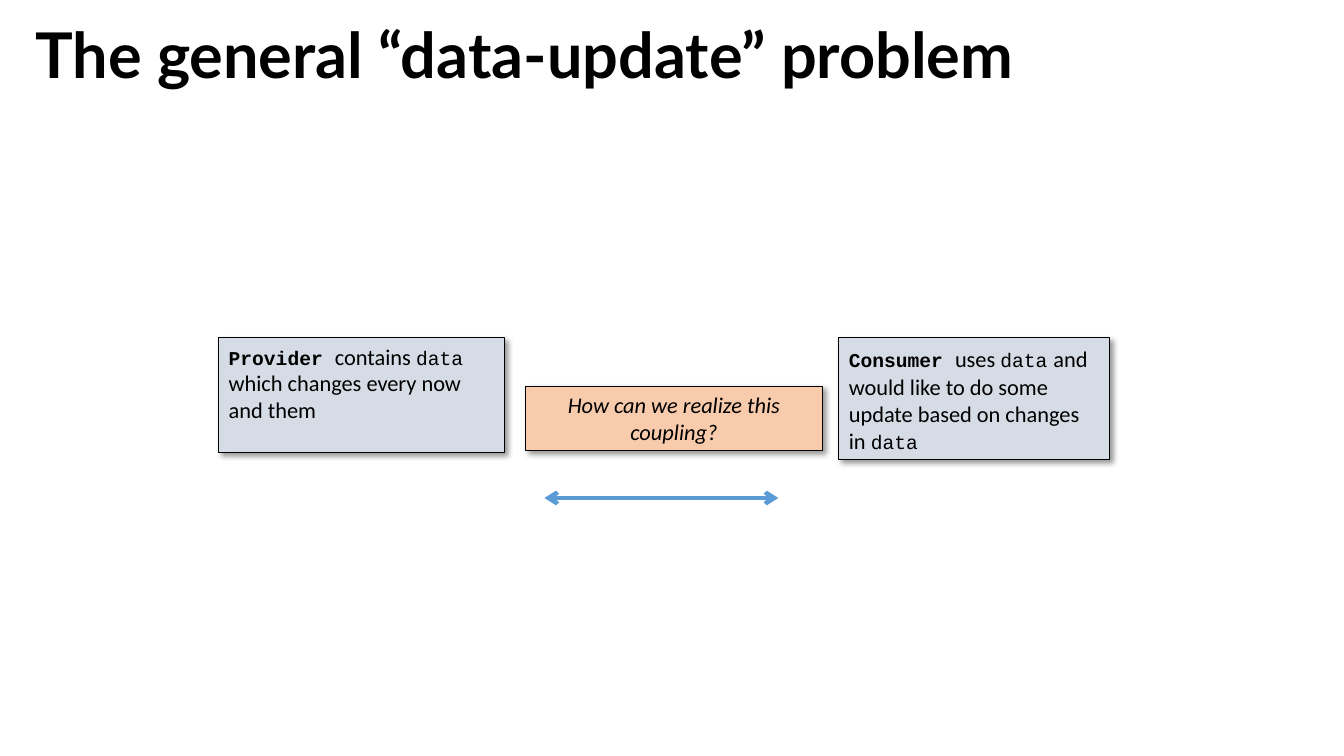
import pptx
import pptx.dml.color
import pptx.enum.shapes
import pptx.enum.text
import pptx.oxml
import pptx.util
from lxml import etree

WIDTH, HEIGHT = pptx.util.Inches(13.33), pptx.util.Inches(7.5)
COLORS = {"ink": "000000", "role": "D6DCE5", "ask": "F8CBAD", "arrow": "5B9BD5"}
NS = "http://schemas.openxmlformats.org/drawingml/2006/main"
ALIGN = pptx.enum.text.PP_ALIGN
ANCHOR = pptx.enum.text.MSO_ANCHOR
CODE, PLAIN = ("Courier New", 14), ("Calibri", 16)


def color(name):
    return pptx.dml.color.RGBColor.from_string(COLORS[name])


def place(x, y):
    """Turn percentages of the slide's width and height into lengths."""
    return round(WIDTH * x / 100), round(HEIGHT * y / 100)


def write(para, runs):
    """Add runs given as (text, (font, size), style), style being b, i or empty."""
    for text, (face, size), style in runs:
        run = para.add_run()
        run.text = text
        font = run.font
        font.name, font.size = face, pptx.util.Pt(size)
        font.bold, font.italic = style == "b", style == "i"
        font.color.rgb = color("ink")


def add_title(slide, text):
    box = slide.shapes.add_textbox(*place(2.63, 2.13), *place(94.82, 10))
    frame = box.text_frame
    frame.word_wrap = True
    frame.vertical_anchor = ANCHOR.BOTTOM
    frame.margin_left = frame.margin_right = 0
    frame.margin_top = frame.margin_bottom = 0
    para = frame.paragraphs[0]
    para.line_spacing = 0.89
    write(para, [(text, ("Lato", 45), "b")])


def cast(shape):
    """Give the shape a soft shadow to the lower right."""
    shape.shadow.inherit = False
    effects = shape._element.spPr.find(f"{{{NS}}}effectLst")
    effects.append(pptx.oxml.parse_xml(
        f'<a:outerShdw xmlns:a="{NS}" blurRad="{pptx.util.Pt(4)}" '
        f'dist="{pptx.util.Pt(3)}" dir="2700000" algn="tl" rotWithShape="0">'
        f'<a:srgbClr val="{COLORS["ink"]}"><a:alpha val="40000"/></a:srgbClr>'
        '</a:outerShdw>'))


def add_box(slide, spot, size, fill, runs, align=ALIGN.LEFT, anchor=ANCHOR.TOP):
    kind = pptx.enum.shapes.MSO_SHAPE.RECTANGLE
    box = slide.shapes.add_shape(kind, *place(*spot), *place(*size))
    box.fill.solid()
    box.fill.fore_color.rgb = color(fill)
    box.line.color.rgb = color("ink")
    box.line.width = pptx.util.Pt(0.75)
    cast(box)
    frame = box.text_frame
    frame.word_wrap = True
    frame.vertical_anchor = anchor
    para = frame.paragraphs[0]
    para.alignment = align
    write(para, runs)


def add_arrow(slide, start, end):
    kind = pptx.enum.shapes.MSO_CONNECTOR.STRAIGHT
    link = slide.shapes.add_connector(kind, *place(*start), *place(*end))
    link.line.color.rgb = color("arrow")
    link.line.width = pptx.util.Pt(3)
    for tip in ("headEnd", "tailEnd"):
        etree.SubElement(link.line._get_or_add_ln(), f"{{{NS}}}{tip}", type="arrow")
    etree.SubElement(link._element.spPr, f"{{{NS}}}effectLst")


def main():
    deck = pptx.Presentation()
    deck.slide_width, deck.slide_height = WIDTH, HEIGHT
    slide = deck.slides.add_slide(deck.slide_layouts[6])

    add_title(slide, "The general “data-update” problem")
    add_box(slide, (16.28, 44.67), (21.23, 15.2), "role", [
        ("Provider ", CODE, "b"),
        ("contains ", PLAIN, ""),
        ("data", CODE, ""),
        (" which changes every now and them", PLAIN, ""),
    ])
    add_box(slide, (62.42, 44.67), (20.11, 16.13), "role", [
        ("Consumer ", CODE, "b"),
        ("uses ", PLAIN, ""),
        ("data", CODE, ""),
        (" ", ("Calibri", 18), ""),
        ("and would like to do some update based on changes in ", PLAIN, ""),
        ("data", CODE, ""),
    ])
    add_box(slide, (39.08, 51.07), (22.13, 8.53), "ask",
            [("How can we realize this coupling?", PLAIN, "i")], ALIGN.CENTER)
    add_arrow(slide, (40.51, 65.87), (57.91, 65.87))
    deck.save("out.pptx")


if __name__ == "__main__":
    main()
